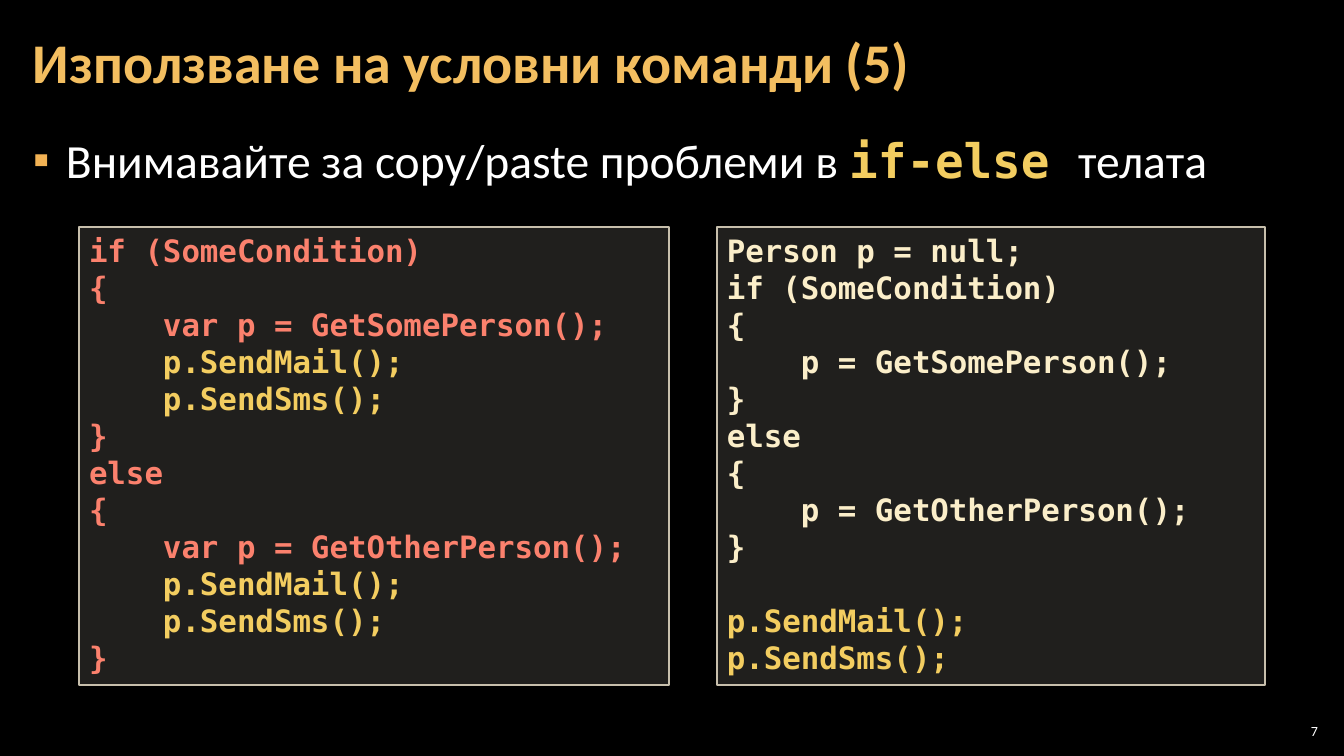
import pptx
import pptx.dml.color
import pptx.enum.shapes
import pptx.enum.text
import pptx.oxml.ns
import pptx.util
from lxml import etree

ANCHOR = pptx.enum.text.MSO_ANCHOR
ALIGN = pptx.enum.text.PP_ALIGN
AUTO_SIZE = pptx.enum.text.MSO_AUTO_SIZE

TEXT_FONT = "Calibri"
CODE_FONT = "DejaVu Sans Mono"
WHITE, TITLE_GOLD, BULLET_ORANGE = "FFFFFF", "F3BE60", "F2B254"
YELLOW, RED, CREAM = "F3CD60", "FB816D", "FBEEC9"

CODE_SIZE = 22
CODE_LINE = 26.4  # height of one code line in points

REPEATED_CALLS = ["p.SendMail();", "p.SendSms();"]

DUPLICATED_CODE = """if (SomeCondition)
{
    var p = GetSomePerson();
    p.SendMail();
    p.SendSms();
}
else
{
    var p = GetOtherPerson();
    p.SendMail();
    p.SendSms();
}"""

SHARED_CODE = """Person p = null;
if (SomeCondition)
{
    p = GetSomePerson();
}
else
{
    p = GetOtherPerson();
}

p.SendMail();
p.SendSms();"""


def px(length):
    return pptx.util.Emu(round(length * 914400 / 100.8))


def color(value):
    return pptx.dml.color.RGBColor.from_string(value)


def place(shape, box):
    shape.left, shape.top, shape.width, shape.height = map(px, box)


def set_frame(frame, anchor, side, edge, auto_size=AUTO_SIZE.NONE):
    frame.word_wrap = True
    frame.auto_size = auto_size
    frame.vertical_anchor = anchor
    frame.margin_left = frame.margin_right = px(side)
    frame.margin_top = frame.margin_bottom = px(edge)


def add_run(paragraph, text, size, value, font=TEXT_FONT, bold=False):
    run = paragraph.add_run()
    run.text = text
    run.font.name = font
    run.font.size = pptx.util.Pt(size)
    run.font.bold = bold
    run.font.color.rgb = color(value)


def add_bullet(paragraph, character, value, indent):
    properties = paragraph._p.get_or_add_pPr()
    properties.set("marL", str(px(indent)))
    properties.set("indent", str(-px(indent)))
    bullet_color = etree.SubElement(properties, pptx.oxml.ns.qn("a:buClr"))
    etree.SubElement(bullet_color, pptx.oxml.ns.qn("a:srgbClr"), val=value)
    etree.SubElement(properties, pptx.oxml.ns.qn("a:buChar"), char=character)


def fill_title(slide, box):
    title = slide.shapes.title
    place(title, box)
    set_frame(title.text_frame, ANCHOR.MIDDLE, 12, 4)
    paragraph = title.text_frame.paragraphs[0]
    paragraph.alignment = ALIGN.LEFT
    paragraph.line_spacing = 0.9
    add_run(paragraph, "Използване на условни команди (5)", 40, TITLE_GOLD, bold=True)


def fill_body(slide, box):
    body = slide.placeholders[1]
    place(body, box)
    set_frame(body.text_frame, ANCHOR.TOP, 12, 4)
    paragraph = body.text_frame.paragraphs[0]
    add_bullet(paragraph, "▪", BULLET_ORANGE, 33)
    paragraph.space_before = pptx.util.Pt(0)
    paragraph.space_after = pptx.util.Pt(6)
    add_run(paragraph, "Внимавайте за copy/paste проблеми в ", 34, WHITE)
    add_run(paragraph, "if-else ", 34, YELLOW, CODE_FONT, True)
    add_run(paragraph, "телата", 34, WHITE)


def add_code_panel(slide, box, code, base_color):
    panel = slide.shapes.add_shape(
        pptx.enum.shapes.MSO_SHAPE.RECTANGLE, *map(px, box))
    panel.shadow.inherit = False
    panel.fill.solid()
    panel.fill.fore_color.rgb = color("D9D5C7")
    fill_color = panel.fill._xPr.find(".//" + pptx.oxml.ns.qn("a:srgbClr"))
    etree.SubElement(fill_color, pptx.oxml.ns.qn("a:alpha"), val="15000")
    panel.line.color.rgb = color("C7BFAC")
    panel.line.width = pptx.util.Pt(1)

    frame = panel.text_frame
    set_frame(frame, ANCHOR.TOP, 10, 5, AUTO_SIZE.SHAPE_TO_FIT_TEXT)
    paragraph = frame.paragraphs[0]
    # An empty code line becomes space before the next block
    for block_index, block in enumerate(code.split("\n\n")):
        for line_index, line in enumerate(block.split("\n")):
            if block_index or line_index:
                paragraph = frame.add_paragraph()
            if block_index and not line_index:
                paragraph.space_before = pptx.util.Pt(CODE_LINE)
            paragraph.alignment = ALIGN.LEFT
            line_color = YELLOW if line.strip() in REPEATED_CALLS else base_color
            add_run(paragraph, line, CODE_SIZE, line_color, CODE_FONT, True)


def add_slide_number(slide, box, number):
    text_box = slide.shapes.add_textbox(*map(px, box))
    set_frame(text_box.text_frame, ANCHOR.MIDDLE, 4, 4)
    paragraph = text_box.text_frame.paragraphs[0]
    paragraph.alignment = ALIGN.RIGHT
    add_run(paragraph, number, 10, WHITE)


def build_slide(presentation):
    slide = presentation.slides.add_slide(presentation.slide_layouts[1])
    slide.background.fill.solid()
    slide.background.fill.fore_color.rgb = color("000000")

    # Title and bullet
    fill_title(slide, (21, 4, 1055, 122))
    # The space above the bullet is part of the box position
    fill_body(slide, (21, 127, 1301, 614))

    # Code before and after the shared calls are moved out
    add_code_panel(slide, (79, 227, 590, 458), DUPLICATED_CODE, RED)
    add_code_panel(slide, (717, 227, 548, 458), SHARED_CODE, CREAM)

    # Footer
    add_slide_number(slide, (1275, 720, 47, 21), "7")


def main():
    presentation = pptx.Presentation()
    presentation.slide_width = px(1344)
    presentation.slide_height = px(756)
    build_slide(presentation)
    presentation.save("out.pptx")


if __name__ == "__main__":
    main()
